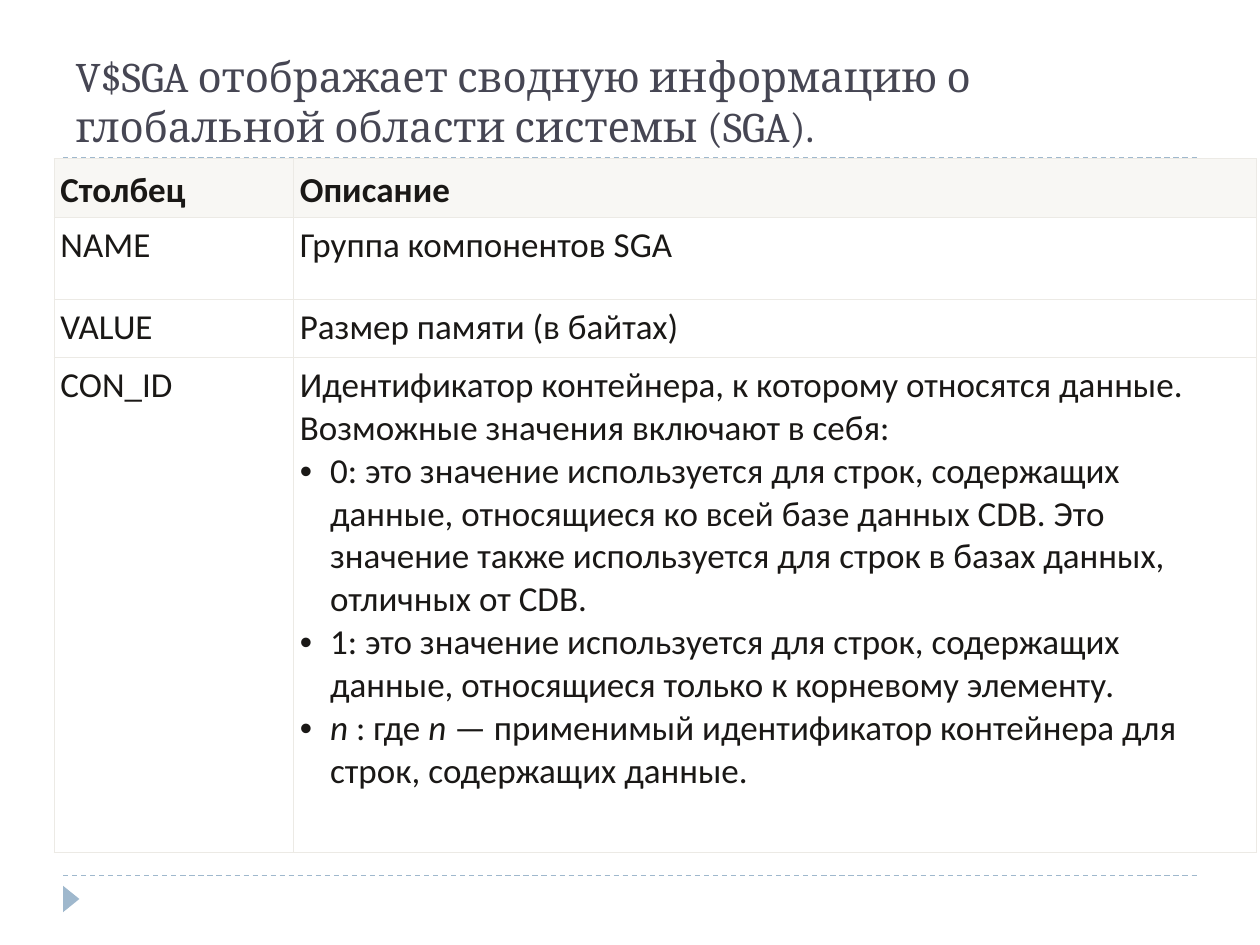
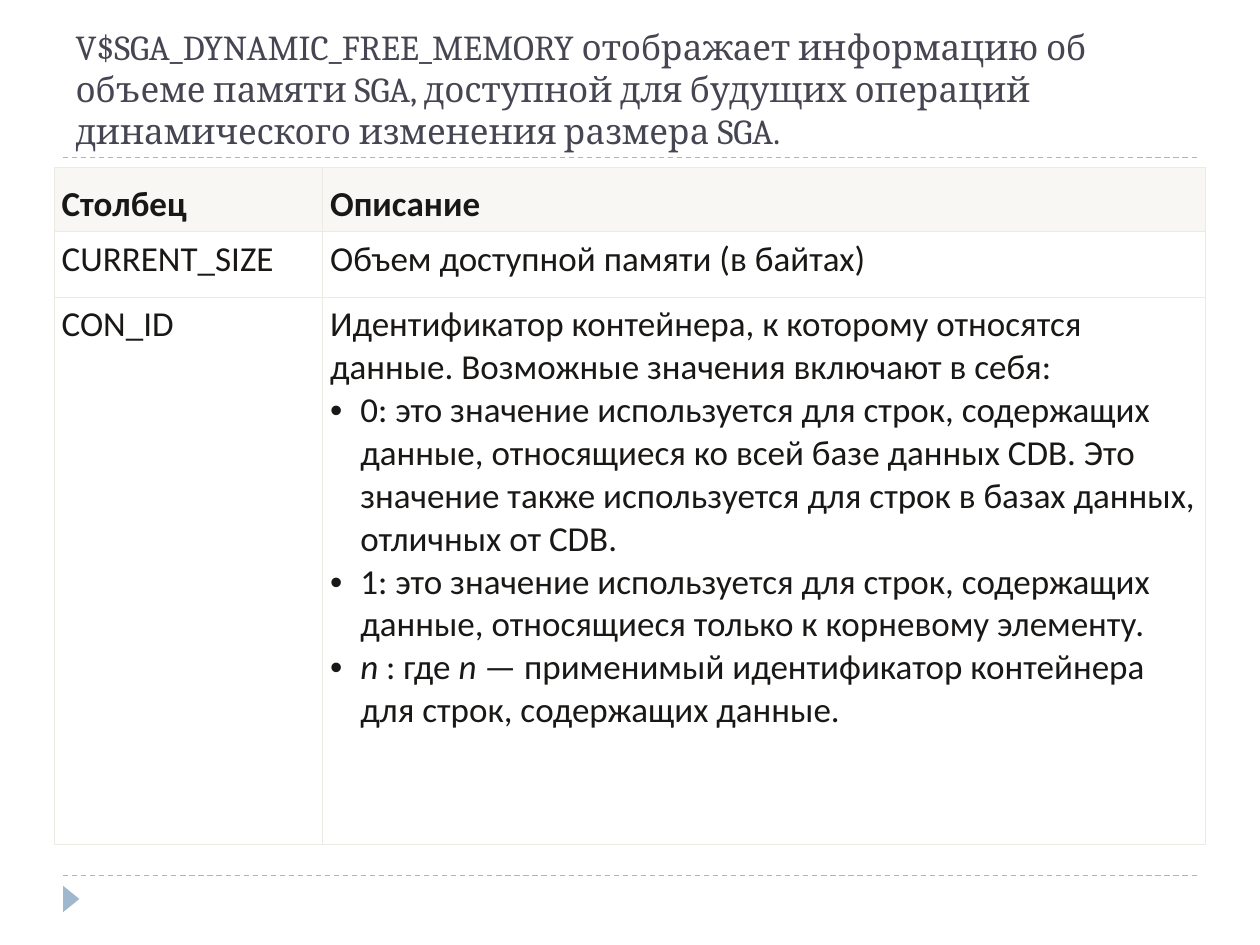
from dataclasses import dataclass
from typing import Any

from lxml import etree
from pptx import Presentation
from pptx import util as u
from pptx.dml import color
from pptx.enum import dml, shapes, text
from pptx.oxml import ns

INK, TEXT, RULE = "464653", "1A1816", "9FB8CD"
EDGE, HEAD, BODY = "ECEAE5", "F8F7F4", "FFFFFF"
HANG = u.Inches(0.24)
PAD = u.Inches(0.05)


@dataclass
class Line:
    words: str
    point: bool = False


@dataclass
class Page:
    title: str
    size: int
    top: float
    cols: list[float]
    rows: list[float]
    side: float
    cells: list[tuple[str, list[Line]]]


HEADER = ("Столбец", [Line("Описание")])
CON = ("CON_ID", [
    Line("Идентификатор контейнера, к которому относятся данные. Возможные значения включают в себя:"),
    Line("0: это значение используется для строк, содержащих данные, относящиеся ко всей базе данных CDB. "
         "Это значение также используется для строк в базах данных, отличных от CDB.", True),
    Line("1: это значение используется для строк, содержащих данные, "
         "относящиеся только к корневому элементу.", True),
    Line("*n* : где *n* — применимый идентификатор контейнера для строк, содержащих данные.", True),
])
PAGES = [
    Page("V$SGA отображает сводную информацию о глобальной области системы (SGA).",
         24, 1.26, [1.9, 7.64], [0.47, 0.65, 0.46, 3.93], 0.05,
         [HEADER, ("NAME", [Line("Группа компонентов SGA")]),
          ("VALUE", [Line("Размер памяти (в байтах)")]), CON]),
    Page("V$SGA_DYNAMIC_FREE_MEMORY отображает информацию об объеме памяти SGA, "
         "доступной для будущих операций динамического изменения размера SGA.",
         20, 1.33, [2.13, 7.01], [0.51, 0.52, 4.34], 0.06,
         [HEADER, ("CURRENT_SIZE", [Line("Объем доступной памяти (в байтах)")]), CON]),
]


def rgb(code: str) -> color.RGBColor:
    return color.RGBColor.from_string(code)


def put(item: Any, form: dict[str, Any]) -> None:
    for key, value in form.items():
        setattr(item, key, value)


def style(font: Any, code: str, **form: Any) -> None:
    put(font, form)
    font.color.rgb = rgb(code)


def node(base: Any, tag: str, **form: str) -> Any:
    return etree.SubElement(base, ns.qn(tag), form)


def rule(slide: Any, y: float) -> None:
    line = slide.shapes.add_connector(
        shapes.MSO_CONNECTOR.STRAIGHT, u.Inches(0.5), u.Inches(y), u.Inches(9.5), u.Inches(y))
    put(line.line, {"width": u.Pt(0.75), "dash_style": dml.MSO_LINE.DASH})
    line.line.color.rgb = rgb(RULE)
    node(line._element.spPr, "a:effectLst")


def frame(slide: Any) -> None:
    for y in (6.95, 1.25):
        rule(slide, y)
    mark = slide.shapes.add_shape(
        shapes.MSO_SHAPE.ISOSCELES_TRIANGLE,
        u.Inches(0.46), u.Inches(7.07), u.Inches(0.21), u.Inches(0.13))
    mark.rotation = 90
    mark.shadow.inherit = False
    mark.fill.solid()
    mark.fill.fore_color.rgb = rgb(RULE)
    mark.line.fill.background()


def head(slide: Any, page: Page) -> None:
    title = slide.shapes.title
    put(title, {"left": u.Inches(0.5), "top": u.Inches(0.17),
                "width": u.Inches(9), "height": u.Inches(1.08)})
    box = title.text_frame
    box.text = page.title
    put(box, {"vertical_anchor": text.MSO_ANCHOR.BOTTOM, "word_wrap": True,
              "auto_size": text.MSO_AUTO_SIZE.NONE})
    para = box.paragraphs[0]
    para.alignment = text.PP_ALIGN.LEFT
    style(para.font, INK, name="Cambria", size=u.Pt(page.size))


def bullet(para: Any) -> None:
    prop = para._p.get_or_add_pPr()
    put_in = {"marL": str(HANG), "indent": str(-HANG)}
    for key, value in put_in.items():
        prop.set(key, value)
    node(node(prop, "a:buClr"), "a:srgbClr", val=TEXT)
    node(prop, "a:buFont", typeface="Arial")
    node(prop, "a:buChar", char="•")


def write(para: Any, line: Line, bold: bool) -> None:
    if line.point:
        bullet(para)
    for i, part in enumerate(line.words.split("*")):
        if part:
            run = para.add_run()
            run.text = part
            style(run.font, TEXT, name="Calibri", size=u.Pt(20), bold=bold, italic=i % 2 == 1)


def fill(cell: Any, lines: list[Line], top: bool, side: float) -> None:
    prop = cell._tc.get_or_add_tcPr()
    for tag in ("a:lnL", "a:lnR", "a:lnT", "a:lnB"):
        edge = node(prop, tag, w=str(u.Pt(0.57)))
        node(node(edge, "a:solidFill"), "a:srgbClr", val=EDGE)
    cell.fill.solid()
    cell.fill.fore_color.rgb = rgb(HEAD if top else BODY)
    put(cell, {"margin_left": u.Inches(side), "margin_right": u.Inches(side),
               "margin_top": PAD, "margin_bottom": PAD,
               "vertical_anchor": text.MSO_ANCHOR.BOTTOM if top else text.MSO_ANCHOR.TOP})
    box = cell.text_frame
    for i, line in enumerate(lines):
        write(box.add_paragraph() if i else box.paragraphs[0], line, top)


def grid(slide: Any, page: Page) -> None:
    table = slide.shapes.add_table(
        len(page.rows), len(page.cols), u.Inches(0.43), u.Inches(page.top),
        u.Inches(sum(page.cols)), u.Inches(sum(page.rows))).table
    put(table, {"first_row": False, "horz_banding": False})
    for col, width in zip(table.columns, page.cols):
        col.width = u.Inches(width)
    for r, (height, (name, lines)) in enumerate(zip(page.rows, page.cells)):
        table.rows[r].height = u.Inches(height)
        for c, part in enumerate(([Line(name)], lines)):
            fill(table.cell(r, c), part, r == 0, page.side)


def main() -> None:
    deck = Presentation()
    put(deck, {"slide_width": u.Inches(10), "slide_height": u.Inches(7.5)})
    for page in PAGES:
        slide = deck.slides.add_slide(deck.slide_layouts[5])
        frame(slide)
        head(slide, page)
        grid(slide, page)
    deck.save("out.pptx")


if __name__ == "__main__":
    main()
